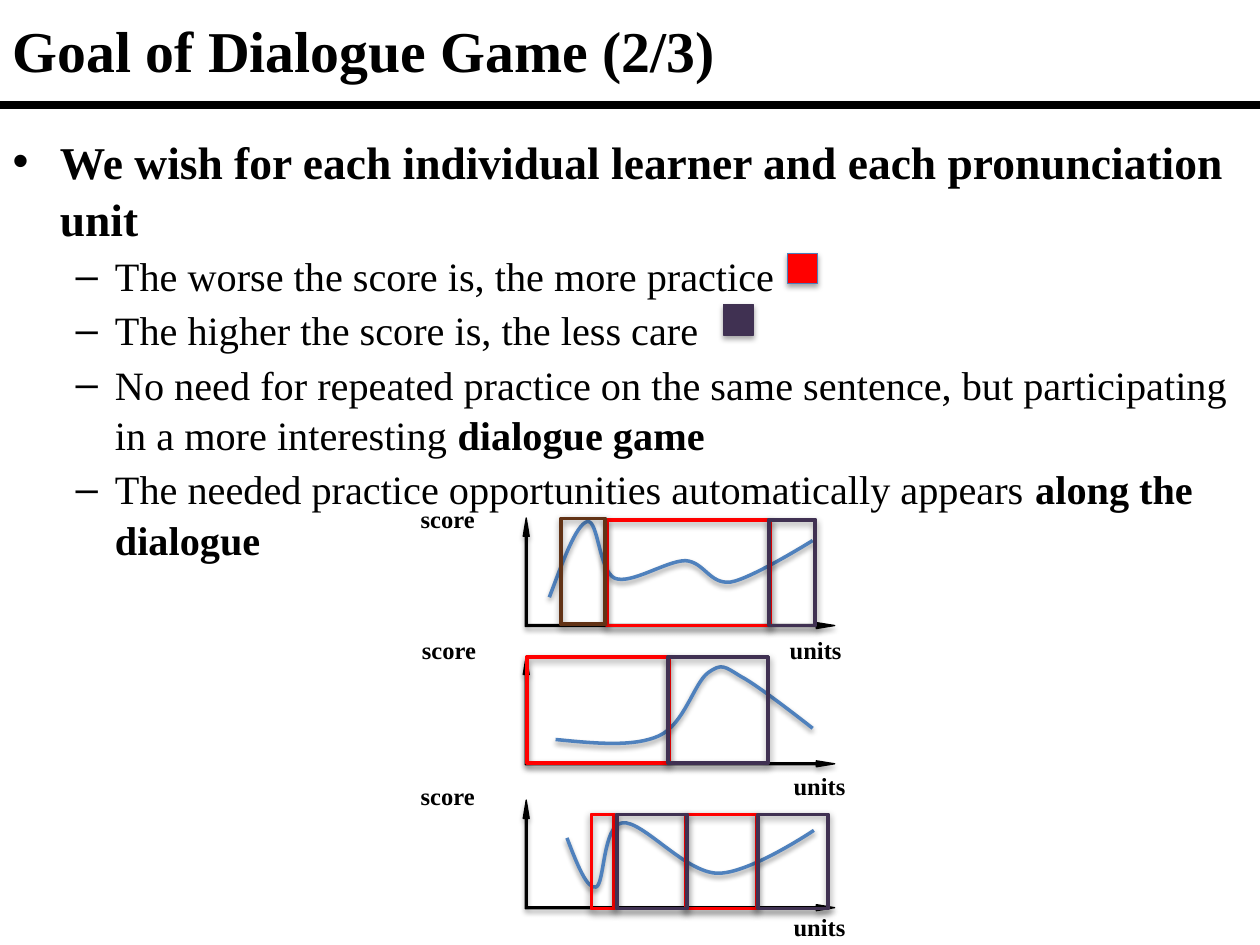
"""Build the slide on the goal of the dialogue game, with three score curves."""
import lxml.etree
import pptx
import pptx.dml.color
import pptx.enum.shapes
import pptx.enum.text
import pptx.oxml
import pptx.oxml.ns
import pptx.util

Pt = pptx.util.Pt
SHAPES = pptx.enum.shapes.MSO_SHAPE
qn = pptx.oxml.ns.qn


class SlideBuilder:
    """Hold the style and the current slide."""

    font = "Times New Roman"
    colours = {
        "black": "000000",
        "red": "FF0000",
        "purple": "403152",
        "brown": "623316",
        "blue": "4F81BD",
        "edge": "4B7EBC",
    }

    def __init__(self, presentation):
        self.slide = presentation.slides.add_slide(presentation.slide_layouts[1])

    def rgb(self, name):
        return pptx.dml.color.RGBColor.from_string(self.colours[name])

    def add_runs(self, paragraph, runs, size):
        for text, bold in runs:
            run = paragraph.add_run()
            run.text = text
            run.font.name = self.font
            run.font.size = Pt(size)
            run.font.bold = bold
            run.font.color.rgb = self.rgb("black")

    def place(self, shape, left, top, width, height):
        shape.left, shape.top = Pt(left), Pt(top)
        shape.width, shape.height = Pt(width), Pt(height)

    def style(self, shape, fill, line, weight, shadow):
        if fill:
            shape.fill.solid()
            shape.fill.fore_color.rgb = self.rgb(fill)
        else:
            shape.fill.background()
        shape.line.color.rgb = self.rgb(line)
        shape.line.width = Pt(weight)
        shape.shadow.inherit = False
        alpha, blur, distance = shadow
        effects = shape._element.spPr.find(qn("a:effectLst"))
        outer = lxml.etree.SubElement(
            effects, qn("a:outerShdw"), blurRad=str(Pt(blur)),
            dist=str(Pt(distance)), dir="5400000", rotWithShape="0")
        colour = lxml.etree.SubElement(outer, qn("a:srgbClr"), val=self.colours["black"])
        lxml.etree.SubElement(colour, qn("a:alpha"), val=str(alpha * 1000))

    def title(self, text):
        shape = self.slide.shapes.title
        self.place(shape, 0, 0, 720, 57)
        frame = shape.text_frame
        frame.auto_size = pptx.enum.text.MSO_AUTO_SIZE.NONE
        frame.vertical_anchor = pptx.enum.text.MSO_ANCHOR.MIDDLE
        paragraph = frame.paragraphs[0]
        paragraph.alignment = pptx.enum.text.PP_ALIGN.LEFT
        self.add_runs(paragraph, [(text, True)], 33)

    def body(self, items):
        shape = self.slide.placeholders[1]
        self.place(shape, 0, 71.3, 720, 245.5)
        frame = shape.text_frame
        frame.auto_size = pptx.enum.text.MSO_AUTO_SIZE.NONE
        for index, (level, runs) in enumerate(items):
            paragraph = frame.add_paragraph() if index else frame.paragraphs[0]
            paragraph.level = level
            paragraph.space_before = Pt(3 - level)
            paragraph.line_spacing = 1.05
            self.add_runs(paragraph, runs, 23 if level else 26)

    def rule(self, top):
        connector = self.slide.shapes.add_connector(
            pptx.enum.shapes.MSO_CONNECTOR.STRAIGHT, 0, Pt(top), Pt(720), Pt(top))
        connector.line.color.rgb = self.rgb("black")
        connector.line.width = Pt(4.5)
        lxml.etree.SubElement(connector._element.spPr, qn("a:effectLst"))

    def label(self, text, left, top):
        shape = self.slide.shapes.add_textbox(Pt(left), Pt(top), Pt(60), Pt(31.7))
        shape.text_frame.word_wrap = True
        self.add_runs(shape.text_frame.paragraphs[0], [(text, True)], 14)

    def preset(self, kind, left, top, width, height):
        return self.slide.shapes.add_shape(kind, Pt(left), Pt(top), Pt(width), Pt(height))

    def axes(self, top):
        shape = self.preset(SHAPES.LEFT_UP_ARROW, 299, top, 178, 63.2)
        for index, value in enumerate((0.018, 0.027, 0.166)):
            shape.adjustments[index] = value
        shape._element.spPr.find(qn("a:xfrm")).set("flipH", "1")
        self.style(shape, "black", "black", 0.75, (35, 3.1, 1.8))

    def key(self, left, top, fill, line):
        shape = self.preset(SHAPES.RECTANGLE, left, top, 17.3, 17.3)
        self.style(shape, fill, line, 0.75, (35, 3.1, 1.8))

    def frame(self, left, top, width, height, fill, line):
        shape = self.preset(SHAPES.FRAME, left, top, width, height)
        shape.adjustments[0] = 0.7 / min(width, height)
        self.style(shape, fill, line, 1.5, (40, 4.1, 2))

    def curve(self, points):
        """Draw a start point followed by triples of Bezier points."""
        start, *rest = [(Pt(x), Pt(y)) for x, y in points]
        builder = self.slide.shapes.build_freeform(*start)
        builder.add_line_segments(rest, close=False)
        shape = builder.convert_to_shape()
        outline = shape._element.spPr.find(".//" + qn("a:path"))
        segments = outline.findall(qn("a:lnTo"))
        for first in range(0, len(segments), 3):
            bezier = lxml.etree.SubElement(outline, qn("a:cubicBezTo"))
            for segment in segments[first:first + 3]:
                bezier.append(segment[0])
                outline.remove(segment)
        self.style(shape, None, "blue", 2, (38, 3.1, 1.6))


ITEMS = [
    (0, [("We wish for each individual learner and each pronunciation unit", True)]),
    (1, [("The worse the score is, the more practice", False)]),
    (1, [("The higher the score is, the less care", False)]),
    (1, [("No need for repeated practice on the same sentence, but participating "
          "in a more interesting ", False), ("dialogue game", True)]),
    (1, [("The needed practice opportunities automatically appears ", False),
         ("along the dialogue", True)]),
]
AXIS_TOPS = [296, 375, 457.2]
SCORE_LABELS = [(233.3, 284.4), (234, 359.3), (233.3, 442.8)]
UNITS_LABELS = [(444.2, 359.3), (446.4, 437), (446.4, 517.7)]
CURVES = [
    [(313.9, 341.3), (321.8, 320.4), (329, 300.2), (335.5, 298.1),
     (342, 296.6), (342, 326.2), (351.4, 330.5),
     (360.7, 334.1), (380.9, 320.4), (391.7, 320.4),
     (402.5, 321.1), (405.4, 334.1), (417.6, 332.6),
     (429.8, 330.5), (464.4, 308.9), (464.4, 308.9)],
    [(317.5, 422.6), (339.8, 424.8), (362.2, 427), (376.6, 420.5),
     (391, 414), (396.7, 390.2), (404.6, 384.5),
     (412.6, 378.7), (414, 380.9), (423.4, 386.6),
     (433.4, 391.7), (464.4, 416.2), (464.4, 416.2)],
    [(324, 478.8), (329.8, 493.9), (335.5, 508.3), (340.6, 506.9),
     (345.6, 505.4), (344.2, 471.6), (355.7, 470.2),
     (367.2, 468.7), (391, 498.2), (409.7, 499),
     (427.7, 499.7), (465.1, 474.5), (465.1, 474.5)],
]
FRAMES = [
    (346.3, 296.6, 94.3, 61.2, "red", "red"),
    (301, 375.1, 81.4, 61.2, "red", "red"),
    (337.7, 465.1, 13.7, 54.4, "red", "red"),
    (391.7, 465.1, 41, 54.4, "red", "red"),
    (439.2, 296.6, 27, 61.2, "brown", "purple"),
    (320.4, 295.9, 25.9, 61.2, "brown", "brown"),
    (381.6, 375.1, 57.6, 61.2, "brown", "purple"),
    (432.7, 465.1, 41, 54.4, "brown", "purple"),
    (352.1, 465.1, 41, 54.4, "brown", "purple"),
]


def main():
    presentation = pptx.Presentation()
    presentation.slide_width, presentation.slide_height = Pt(720), Pt(540)
    builder = SlideBuilder(presentation)
    builder.title("Goal of Dialogue Game (2/3)")
    builder.rule(60.2)
    builder.body(ITEMS)
    for top, score, units in zip(AXIS_TOPS, SCORE_LABELS, UNITS_LABELS):
        builder.axes(top)
        builder.label("score", *score)
        builder.label("units", *units)
    for points in CURVES:
        builder.curve(points)
    builder.key(450, 144.7, "red", "edge")
    builder.key(413.3, 174.2, "purple", "purple")
    for frame in FRAMES:
        builder.frame(*frame)
    presentation.save("out.pptx")


if __name__ == "__main__":
    main()
